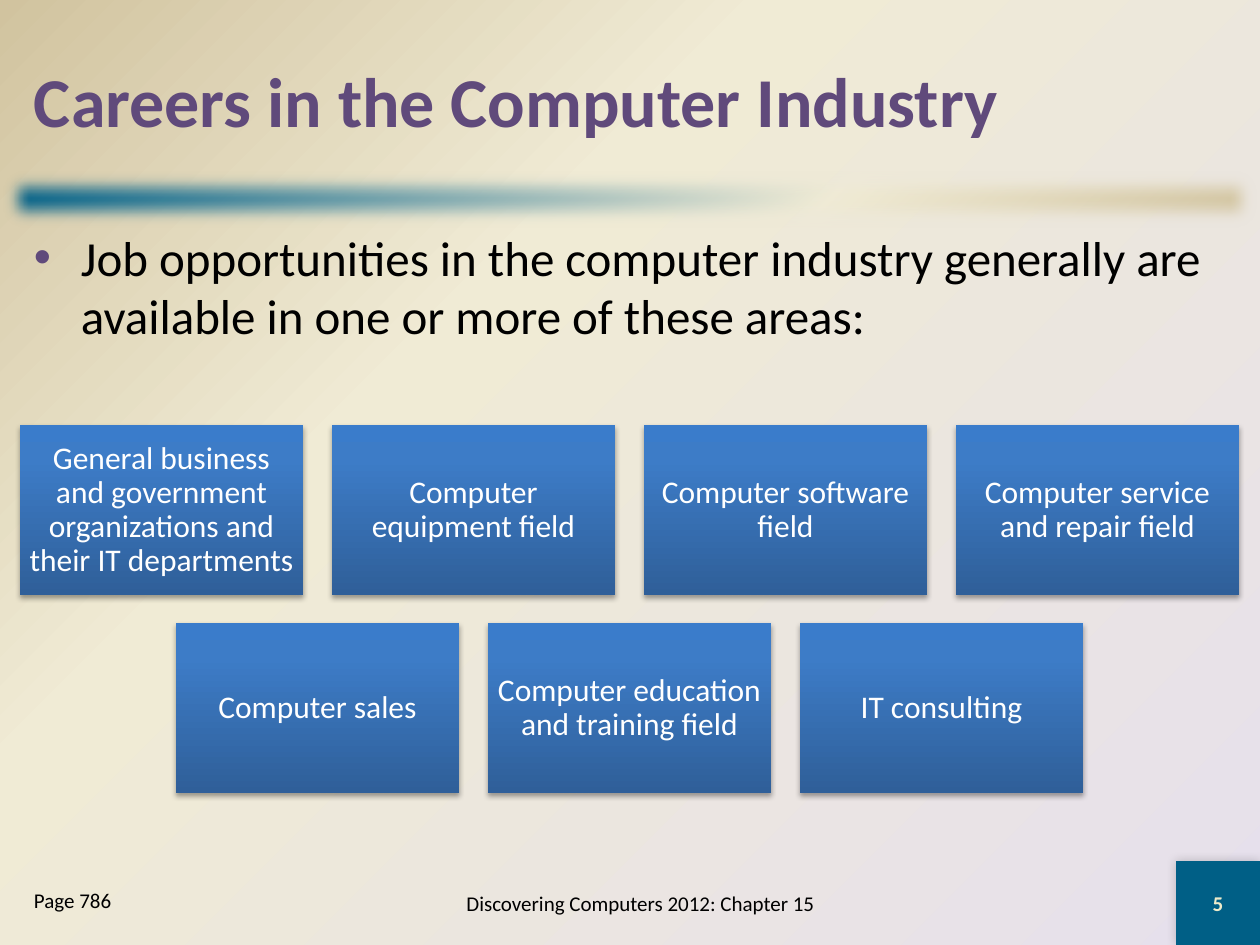
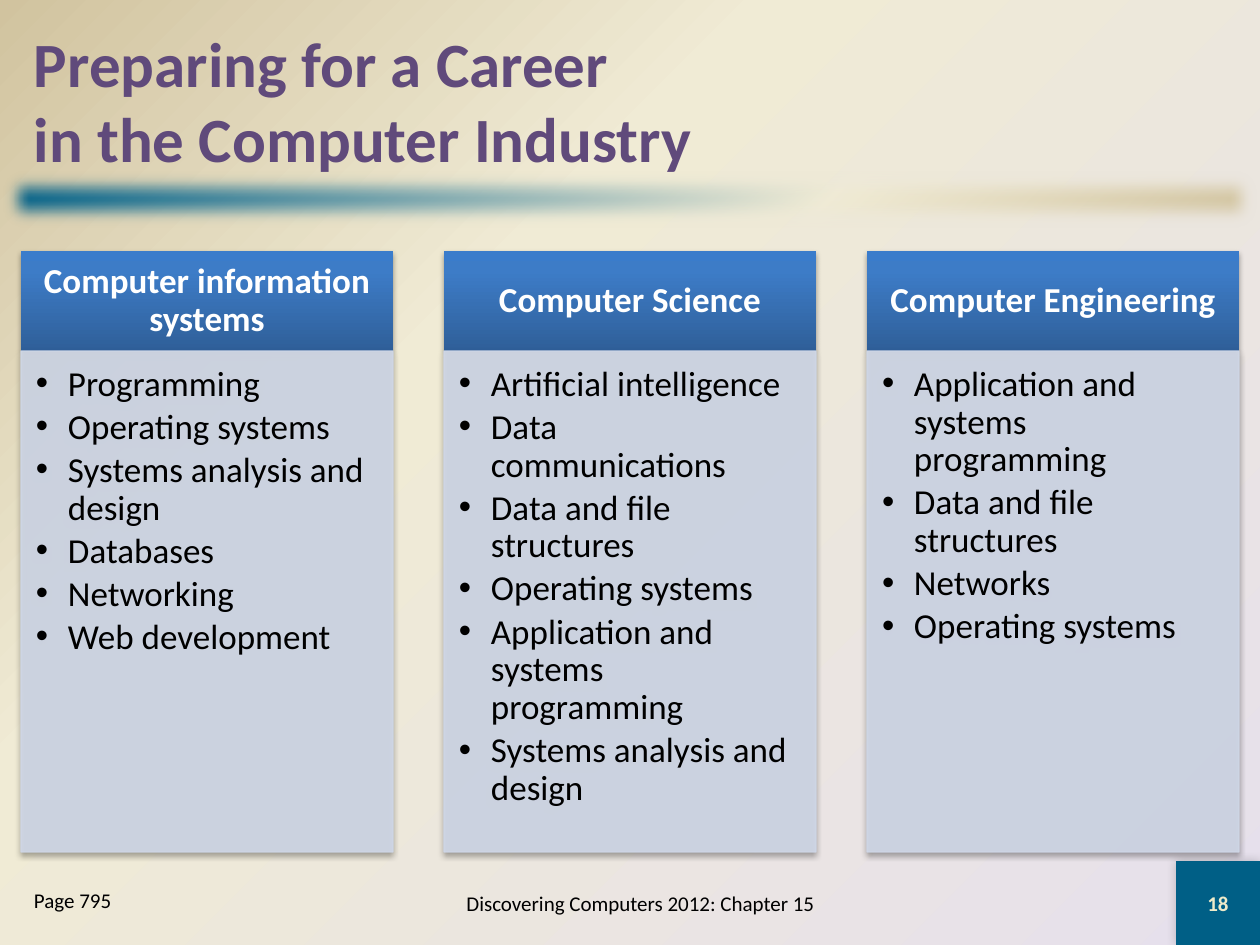
import pptx
import pptx.util
import pptx.oxml
import pptx.oxml.ns
import pptx.dml.color
import pptx.enum.text
import pptx.enum.shapes

SCALE = 914400 / 126
FONT = "Calibri"
PURPLE, TEAL, SAND, CREAM = "604A7B", "005F86", "D1C39F", "F0EBD5"
BLACK, WHITE, MIST = "000000", "FFFFFF", "D0D8E8"
BACK = [(0, "E6E0EC"), (65, CREAM), (100, SAND)]
BAND = [(0, TEAL), (65, CREAM), (100, SAND)]
BLUE = [(0, "2F5F99"), (80, "3D7CC7"), (100, "3A7CCB")]
CORNER = ('<a:path path="circle"><a:fillToRect l="100000" t="100000"/></a:path>'
          '<a:tileRect r="-100000" b="-100000"/>')
SLANT = '<a:lin ang="2700000" scaled="0"/>'
UP = '<a:lin ang="16200000" scaled="0"/>'
SOFT = '<a:softEdge {ns} rad="127000"/>'
SHADE = ('<a:outerShdw {{ns}} blurRad="{}" dist="{}" dir="{}" rotWithShape="0">'
         '<a:srgbClr val="000000"><a:alpha val="{}"/></a:srgbClr></a:outerShdw>')
DROP = SHADE.format(39370, 22860, 5400000, 35000)
HALO = SHADE.format(76200, 0, 13500000, 20000)

ALIGN = pptx.enum.text.PP_ALIGN
ANCHOR = pptx.enum.text.MSO_ANCHOR
qn = pptx.oxml.ns.qn
ns = pptx.oxml.ns.nsdecls("a")


def block(page, spot, fill=None, way="", glow="", edge=None):
    place = [round(v * SCALE) for v in spot]
    if fill is None:
        return page.shapes.add_textbox(*place)
    shape = page.shapes.add_shape(pptx.enum.shapes.MSO_SHAPE.RECTANGLE, *place)
    shape.shadow.inherit = False
    shape.line.fill.background()
    shape.fill.solid()
    if isinstance(fill, list):
        stops = "".join(f'<a:gs pos="{pos * 1000}"><a:srgbClr val="{tint}"/></a:gs>'
                        for pos, tint in fill)
        grad = pptx.oxml.parse_xml(
            f'<a:gradFill {ns} rotWithShape="1"><a:gsLst>{stops}</a:gsLst>{way}</a:gradFill>')
        props = shape.element.spPr
        props.replace(props.find(qn("a:solidFill")), grad)
    else:
        shape.fill.fore_color.rgb = pptx.dml.color.RGBColor.from_string(fill)
    if edge:
        shape.line.color.rgb = pptx.dml.color.RGBColor.from_string(edge)
        shape.line.width = pptx.util.Pt(0.75)
        for tint in shape.element.spPr.findall(".//" + qn("a:srgbClr")):
            tint.append(pptx.oxml.parse_xml(f'<a:alpha {ns} val="90000"/>'))
    if glow:
        shape.element.spPr.find(qn("a:effectLst")).append(
            pptx.oxml.parse_xml(glow.format(ns=ns)))
    return shape


def write(shape, lines, size, ink, bold=False, align=ALIGN.LEFT, anchor=ANCHOR.TOP,
          inset=(13, 6, 13, 6), lead=None, after=0, dot=None, hang=0):
    frame = shape.text_frame
    frame.word_wrap = True
    frame.auto_size = pptx.enum.text.MSO_AUTO_SIZE.NONE
    frame.vertical_anchor = anchor
    (frame.margin_left, frame.margin_top,
     frame.margin_right, frame.margin_bottom) = [round(v * SCALE) for v in inset]
    frame.text = "\n".join(lines)
    for para in frame.paragraphs:
        para.alignment = align
        para.space_after = pptx.util.Pt(after)
        if lead:
            para.line_spacing = lead
        if dot:
            props = para._p.get_or_add_pPr()
            props.set("marL", str(round(hang * SCALE)))
            props.set("indent", str(round(-hang * SCALE)))
            for part in (f'<a:buClr {ns}><a:srgbClr val="{dot}"/></a:buClr>',
                         f'<a:buFont {ns} typeface="Arial"/>',
                         f'<a:buChar {ns} char="•"/>'):
                props.append(pptx.oxml.parse_xml(part))
        for run in para.runs:
            run.font.name = FONT
            run.font.size = pptx.util.Pt(size)
            run.font.bold = bold
            run.font.color.rgb = pptx.dml.color.RGBColor.from_string(ink)


deck = pptx.Presentation()
deck.slide_width = round(1260 * SCALE)
deck.slide_height = round(945 * SCALE)

ground = deck.slide_master.background.fill
ground.solid()
stops = "".join(f'<a:gs pos="{pos * 1000}"><a:srgbClr val="{tint}"/></a:gs>'
                for pos, tint in BACK)
base = deck.slide_master.element.find(".//" + qn("p:bgPr"))
base.replace(base.find(qn("a:solidFill")), pptx.oxml.parse_xml(
    f'<a:gradFill {ns} rotWithShape="1"><a:gsLst>{stops}</a:gsLst>{CORNER}</a:gradFill>'))

pages = []
for title, size, number, source in [
    ("Careers in the Computer Industry", 40, "5", "Page 786"),
    ("Preparing for a Career\vin the Computer Industry", 36, "18", "Page 795"),
]:
    page = deck.slides.add_slide(deck.slide_layouts[5])
    head = page.shapes.title
    head.left, head.top, head.width, head.height = [
        round(v * SCALE) for v in (21, 21, 1218, 158)]
    write(head, [title], size, PURPLE, bold=True, anchor=ANCHOR.MIDDLE)
    block(page, (0, 168, 1260, 63), BAND, SLANT, SOFT)
    write(block(page, (1176, 861, 84, 84), TEAL, glow=HALO), [number], 12, "EEEBCA",
          bold=True, align=ALIGN.CENTER, anchor=ANCHOR.MIDDLE)
    write(block(page, (378, 872, 525, 63)), ["Discovering Computers 2012: Chapter 15"],
          12, BLACK, align=ALIGN.CENTER, anchor=ANCHOR.MIDDLE)
    write(block(page, (21, 882, 231, 63)), [source], 12, BLACK)
    pages.append(page)

jobs, study = pages

write(block(jobs, (21, 221, 1218, 170)),
      ["Job opportunities in the computer industry generally are "
       "available in one or more of these areas:"],
      28, BLACK, dot=PURPLE, hang=47)

fields = [
    ["General business and government organizations and their IT departments",
     "Computer equipment field", "Computer software field",
     "Computer service and repair field"],
    ["Computer sales", "Computer education and training field", "IT consulting"],
]
wide, tall, gap = 283, 170, 29
for row, names in enumerate(fields):
    left = (1260 - len(names) * wide - (len(names) - 1) * gap) // 2
    for col, name in enumerate(names):
        tile = block(jobs, (left + col * (wide + gap), 425 + row * 198, wide, tall),
                     BLUE, UP, DROP)
        write(tile, [name], 18, WHITE, align=ALIGN.CENTER, anchor=ANCHOR.MIDDLE,
              inset=(8, 9, 8, 9), lead=0.9)

majors = {
    "Computer information systems": [
        "Programming", "Operating systems", "Systems analysis and design",
        "Databases", "Networking", "Web development"],
    "Computer Science": [
        "Artificial intelligence", "Data communications", "Data and file structures",
        "Operating systems", "Application and systems programming",
        "Systems analysis and design"],
    "Computer Engineering": [
        "Application and systems programming", "Data and file structures",
        "Networks", "Operating systems"],
}
for col, (major, topics) in enumerate(majors.items()):
    left = 21 + col * 423
    write(block(study, (left, 251, 372, 100), BLUE, UP, DROP), [major], 20, WHITE,
          bold=True, align=ALIGN.CENTER, anchor=ANCHOR.MIDDLE,
          inset=(20, 11, 20, 11), lead=0.9)
    write(block(study, (left, 351, 372, 501), MIST, glow=DROP, edge=MIST), topics, 20,
          BLACK, inset=(15, 15, 20, 22), lead=0.9, after=3, dot=BLACK, hang=32)

deck.save("out.pptx")
